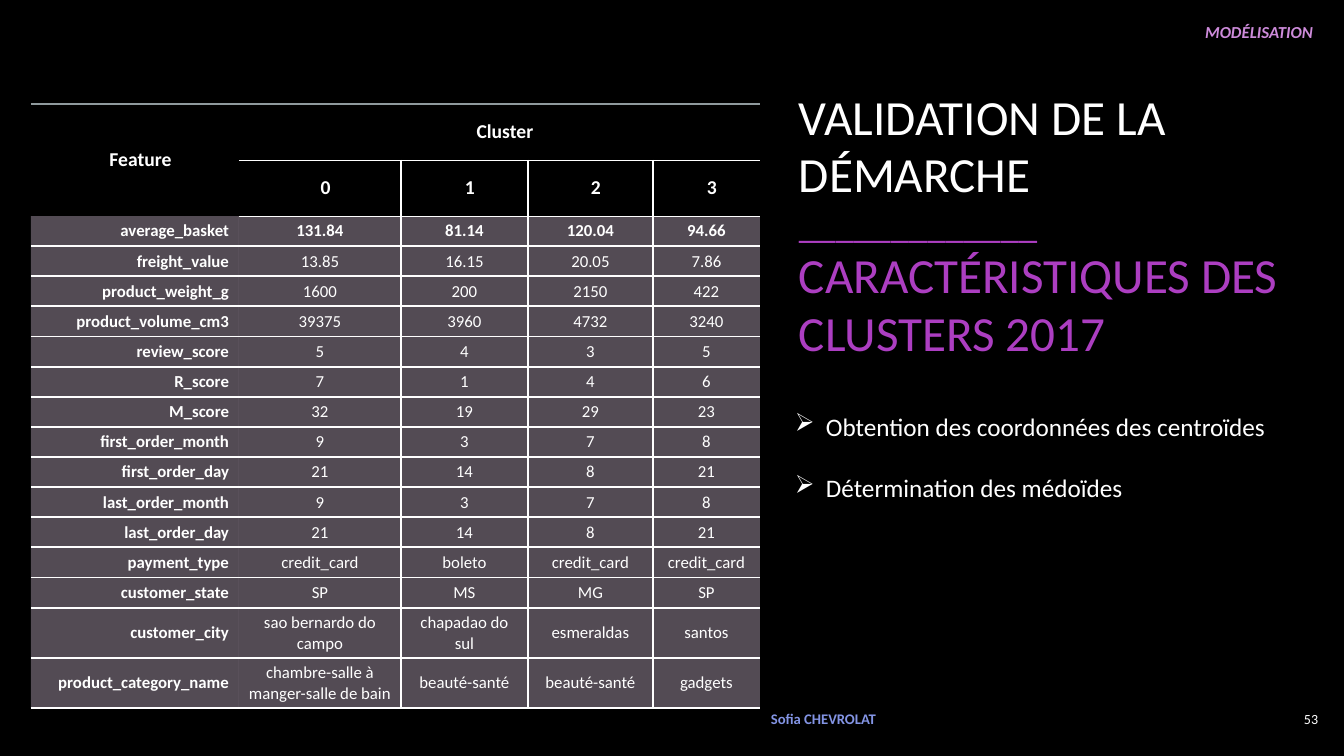
"""Build the slide on the features of the 2017 clusters."""
from lxml.etree import SubElement
from pptx import Presentation
from pptx.dml.color import RGBColor
from pptx.enum.text import MSO_ANCHOR, PP_ALIGN
from pptx.oxml.ns import qn
from pptx.util import Pt

PX = 9071
WHITE, BLACK, PURPLE, LILAC = "FFFFFF", "000000", "AC3EC1", "CD8BDA"
BLUE, GREY, MAUVE = "8394E4", "8F9A9D", "EED8F3"
LEFT, MID, RIGHT = PP_ALIGN.LEFT, PP_ALIGN.CENTER, PP_ALIGN.RIGHT
TOP, HALF = MSO_ANCHOR.TOP, MSO_ANCHOR.MIDDLE


def paint(fill, hue):
    fill.solid()
    fill.fore_color.rgb = RGBColor.from_string(hue)


def write(para, text, hue, size, **form):
    run = para.add_run()
    run.text = text
    paint(run.font.fill, hue)
    for key, value in {"name": "Calibri", "size": Pt(size), **form}.items():
        setattr(run.font, key, value)


deck = Presentation()
deck.slide_width, deck.slide_height = 1344 * PX, 756 * PX
slide = deck.slides.add_slide(deck.slide_layouts[6])
paint(slide.background.fill, BLACK)

bold = {"bold": True}
labels = [
    (1268, 698, 60, 41, HALF, RIGHT, "53", WHITE, 10, {}),
    (761, 698, 177, 41, HALF, LEFT, "Sofia CHEVROLAT", BLUE, 10.5, bold),
    (773, 17, 550, 30, TOP, RIGHT, "MODÉLISATION", LILAC, 12, {**bold, "italic": True}),
]
for x, y, wide, high, anchor, align, text, hue, size, form in labels:
    frame = slide.shapes.add_textbox(x * PX, y * PX, wide * PX, high * PX).text_frame
    frame.word_wrap, frame.vertical_anchor = True, anchor
    frame.paragraphs[0].alignment = align
    write(frame.paragraphs[0], text, hue, size, **form)

title = slide.shapes.add_textbox(789 * PX, 72 * PX, 509 * PX, 308 * PX).text_frame
title.word_wrap, title.vertical_anchor = True, HALF
head, theme = title.paragraphs[0], title.add_paragraph()
head.line_spacing = theme.line_spacing = 0.98
write(head, "VALIDATION DE LA DÉMARCHE", WHITE, 35.1)
head.add_line_break()
write(head, "_" * 13, PURPLE, 26.3)
write(theme, "CARACTÉRISTIQUES DES CLUSTERS 2017", PURPLE, 35.1)

steps = slide.shapes.add_textbox(785 * PX, 406 * PX, 527 * PX, 132 * PX).text_frame
steps.word_wrap = True
for i, text in enumerate(["Obtention des coordonnées des centroïdes", "Détermination des médoïdes"]):
    para = steps.add_paragraph() if i else steps.paragraphs[0]
    props = para._p.get_or_add_pPr()
    props.set("marL", str(31 * PX))
    props.set("indent", str(-31 * PX))
    SubElement(props, qn("a:buChar"), char="➢")
    if i:
        para.space_before = Pt(22)
    write(para, text, WHITE, 18)

rows = [
    ["Feature", "Cluster", "", "", ""],
    ["", "0", "1", "2", "3"],
    ["average_basket", "131.84", "81.14", "120.04", "94.66"],
    ["freight_value", "13.85", "16.15", "20.05", "7.86"],
    ["product_weight_g", "1600", "200", "2150", "422"],
    ["product_volume_cm3", "39375", "3960", "4732", "3240"],
    ["review_score", "5", "4", "3", "5"],
    ["R_score", "7", "1", "4", "6"],
    ["M_score", "32", "19", "29", "23"],
    ["first_order_month", "9", "3", "7", "8"],
    ["first_order_day", "21", "14", "8", "21"],
    ["last_order_month", "9", "3", "7", "8"],
    ["last_order_day", "21", "14", "8", "21"],
    ["payment_type", "credit_card", "boleto", "credit_card", "credit_card"],
    ["customer_state", "SP", "MS", "MG", "SP"],
    ["customer_city", "sao bernardo do campo", "chapadao do sul", "esmeraldas", "santos"],
    ["product_category_name", "chambre-salle à manger-salle de bain", "beauté-santé", "beauté-santé", "gadgets"],
]
widths = [208, 162, 127, 125, 107]
heights = [56] * 2 + [30] * 13 + [50] * 2
grid = slide.shapes.add_table(
    len(rows), len(widths), 31 * PX, 104 * PX, sum(widths) * PX, sum(heights) * PX
).table
grid.first_row = grid.horz_banding = False
grid._tbl.tblPr.find(qn("a:tableStyleId")).text = "{2D5ABB26-0587-4C30-8999-92F81FD0307C}"
for col, wide in zip(grid.columns, widths):
    col.width = wide * PX
for row, high in zip(grid.rows, heights):
    row.height = high * PX
grid.cell(0, 0).merge(grid.cell(1, 0))
grid.cell(0, 1).merge(grid.cell(0, 4))

for r, row in enumerate(rows):
    for c, text in enumerate(row):
        cell = grid.cell(r, c)
        top = r < 2
        sides = (27, 16, 16, 16) if top else (10, 5, 10, 5)
        for side, gap in zip(("left", "top", "right", "bottom"), sides):
            setattr(cell, f"margin_{side}", gap * PX)
        cell.vertical_anchor = HALF
        props = cell._tc.get_or_add_tcPr()
        edges = {
            "lnL": (r and c > 1, 1.5, WHITE),
            "lnR": (r and 0 < c < 4, 1.5, WHITE),
            "lnT": (r != 2 and (r != 1 or c), 0.25 if r == 1 else 1.5, WHITE if r else GREY),
            "lnB": (r > 1 or (r == 0 and c), 1.5 if r else 0.25, WHITE),
        }
        for edge, (shown, thick, hue) in edges.items():
            if shown:
                line = SubElement(props, qn(f"a:{edge}"), w=str(Pt(thick)))
                SubElement(SubElement(line, qn("a:solidFill")), qn("a:srgbClr"), val=hue)
        if top:
            cell.fill.background()
        else:
            paint(cell.fill, MAUVE)
            tint = props.find(qn("a:solidFill")).find(qn("a:srgbClr"))
            SubElement(tint, qn("a:alpha"), val="35000")
        if text:
            para = cell.text_frame.paragraphs[0]
            para.alignment = MID if top or c else RIGHT
            write(para, text, WHITE, 14 if top else 12, bold=r < 3 or c == 0)

deck.save("out.pptx")
